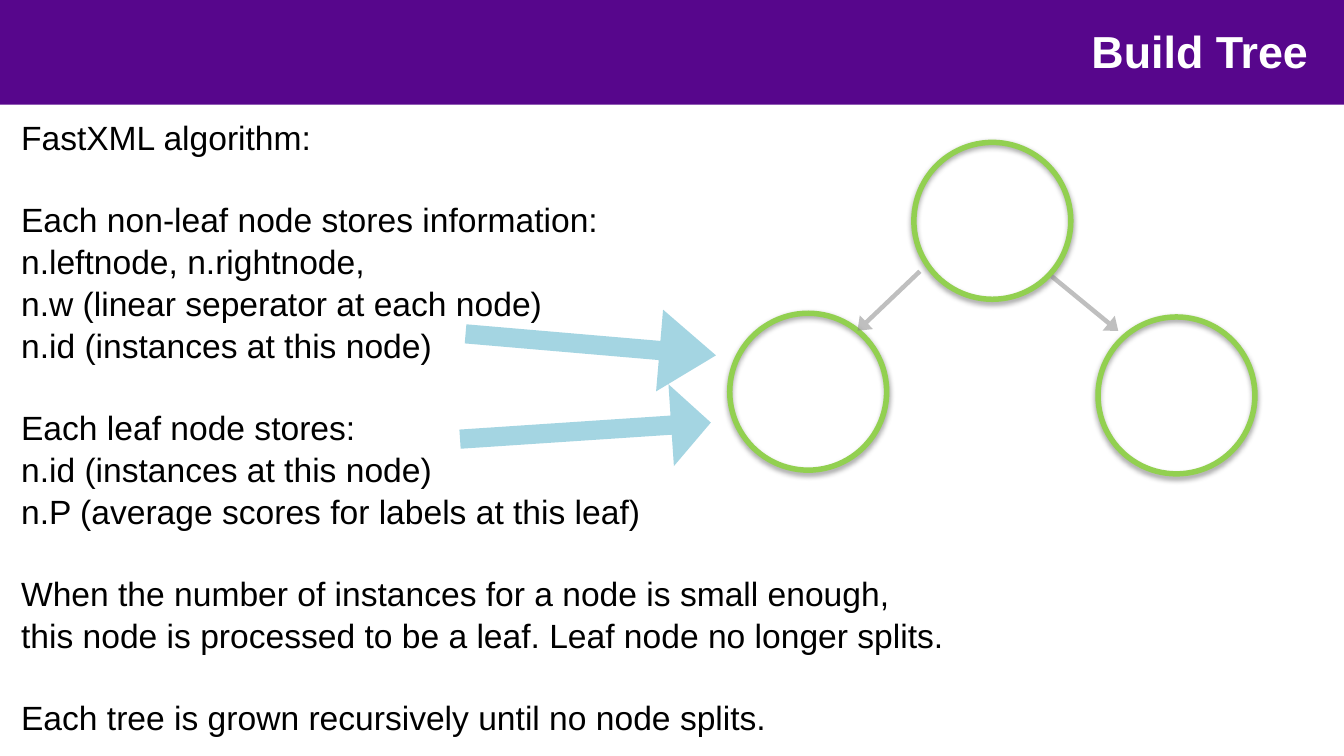
import pptx
import pptx.util
import pptx.dml.color
import pptx.enum.shapes
import pptx.enum.text
import pptx.oxml
import pptx.oxml.ns
from lxml import etree

Cm, Pt = pptx.util.Cm, pptx.util.Pt
RGBColor = pptx.dml.color.RGBColor
SHAPE = pptx.enum.shapes.MSO_SHAPE
ALIGN = pptx.enum.text.PP_ALIGN
ANCHOR = pptx.enum.text.MSO_ANCHOR
qn = pptx.oxml.ns.qn

PURPLE = RGBColor(0x57, 0x06, 0x8C)
WHITE = RGBColor(0xFF, 0xFF, 0xFF)
BLACK = RGBColor(0, 0, 0)
GREEN = RGBColor(0x92, 0xD0, 0x50)
GRAY = RGBColor(0x80, 0x80, 0x80)
TEAL = RGBColor(0x4B, 0xAC, 0xC6)

SHADOW = (
    f'<a:outerShdw xmlns:a="{pptx.oxml.ns.nsdecls("a").split(chr(34))[1]}" '
    'blurRad="39400" dist="20300" dir="5400000" rotWithShape="0">'
    '<a:srgbClr val="000000"><a:alpha val="38000"/></a:srgbClr></a:outerShdw>'
)


class Deck:
    font = "Arial"
    gap = Pt(21.6)

    def __init__(self):
        self.prs = pptx.Presentation()
        self.prs.slide_width, self.prs.slide_height = Cm(25.4), Cm(14.29)
        self.s = self.prs.slides.add_slide(self.prs.slide_layouts[6])

    def shape(self, kind, x, y, w, h, color, adj=()):
        sp = self.s.shapes.add_shape(kind, Cm(x), Cm(y), Cm(w), Cm(h))
        sp.shadow.inherit = False
        sp.fill.solid()
        sp.fill.fore_color.rgb = color
        sp.line.fill.background()
        for i, value in enumerate(adj):
            sp.adjustments[i] = value
        return sp

    def node(self, x, y):
        sp = self.shape(SHAPE.DONUT, x, y, 3.07, 3.07, GREEN, [0.034])
        effects = sp._element.spPr.find(qn("a:effectLst"))
        effects.append(pptx.oxml.parse_xml(SHADOW))

    def arrow(self, x, y, w, h, angle, color, head):
        sp = self.shape(SHAPE.RIGHT_ARROW, x, y, w, h, color, [0.234, head])
        sp.rotation = angle
        clr = sp._element.spPr.find(qn("a:solidFill"))[0]
        etree.SubElement(clr, qn("a:alpha")).set("val", "50000")

    def text(self, x, y, w, h, blocks, size, color, bold=False, align=ALIGN.LEFT,
             anchor=ANCHOR.TOP, inset=None, spacing=None):
        """Write blocks of lines, with one line of space between blocks."""
        tf = self.s.shapes.add_textbox(Cm(x), Cm(y), Cm(w), Cm(h)).text_frame
        tf.word_wrap = True
        tf.vertical_anchor = anchor
        if inset is not None:
            tf.margin_left = tf.margin_right = Cm(inset)
            tf.margin_top = tf.margin_bottom = Cm(inset)
        for b, block in enumerate(blocks):
            for i, line in enumerate(block):
                first = b == 0 and i == 0
                p = tf.paragraphs[0] if first else tf.add_paragraph()
                p.alignment = align
                if spacing:
                    p.line_spacing = spacing
                if b and i == 0:
                    p.space_before = self.gap
                r = p.add_run()
                r.text = line
                r.font.name, r.font.size = self.font, Pt(size)
                r.font.bold, r.font.color.rgb = bold, color


def main():
    d = Deck()

    # Title band
    d.shape(SHAPE.RECTANGLE, 0, 0, 25.43, 1.98, PURPLE)
    d.text(19.46, 0.38, 5.26, 1.17, [["Build Tree"]], 24, WHITE, bold=True,
           align=ALIGN.RIGHT, anchor=ANCHOR.MIDDLE, inset=0)

    # Algorithm notes
    d.text(0.15, 2.06, 25.25, 11.79, [
        ["FastXML algorithm:"],
        ["Each non-leaf node stores information:",
         "n.leftnode, n.rightnode,",
         "n.w (linear seperator at each node)",
         "n.id (instances at this node)"],
        ["Each leaf node stores:",
         "n.id (instances at this node)",
         "n.P (average scores for labels at this leaf)"],
        ["When the number of instances for a node is small enough,",
         "this node is processed to be a leaf. Leaf node no longer splits."],
        ["Each tree is grown recursively until no node splits."],
    ], 18, BLACK, spacing=1.04)

    # Tree nodes: root, left leaf, right leaf
    for x, y in [(17.22, 2.64), (13.74, 5.87), (20.7, 5.94)]:
        d.node(x, y)

    # Branches
    for x, y, angle in [(19.69, 5.56, 39.4), (15.98, 5.51, 136.4)]:
        d.arrow(x, y, 1.63, 0.36, angle, GRAY, 0.646)

    # Pointers from the notes to the left leaf
    for x, y, angle, head in [(8.79, 5.74, 4.9, 0.69), (8.69, 7.37, -3.8, 0.484)]:
        d.arrow(x, y, 4.75, 1.55, angle, TEAL, head)

    d.prs.save("out.pptx")


if __name__ == "__main__":
    main()
